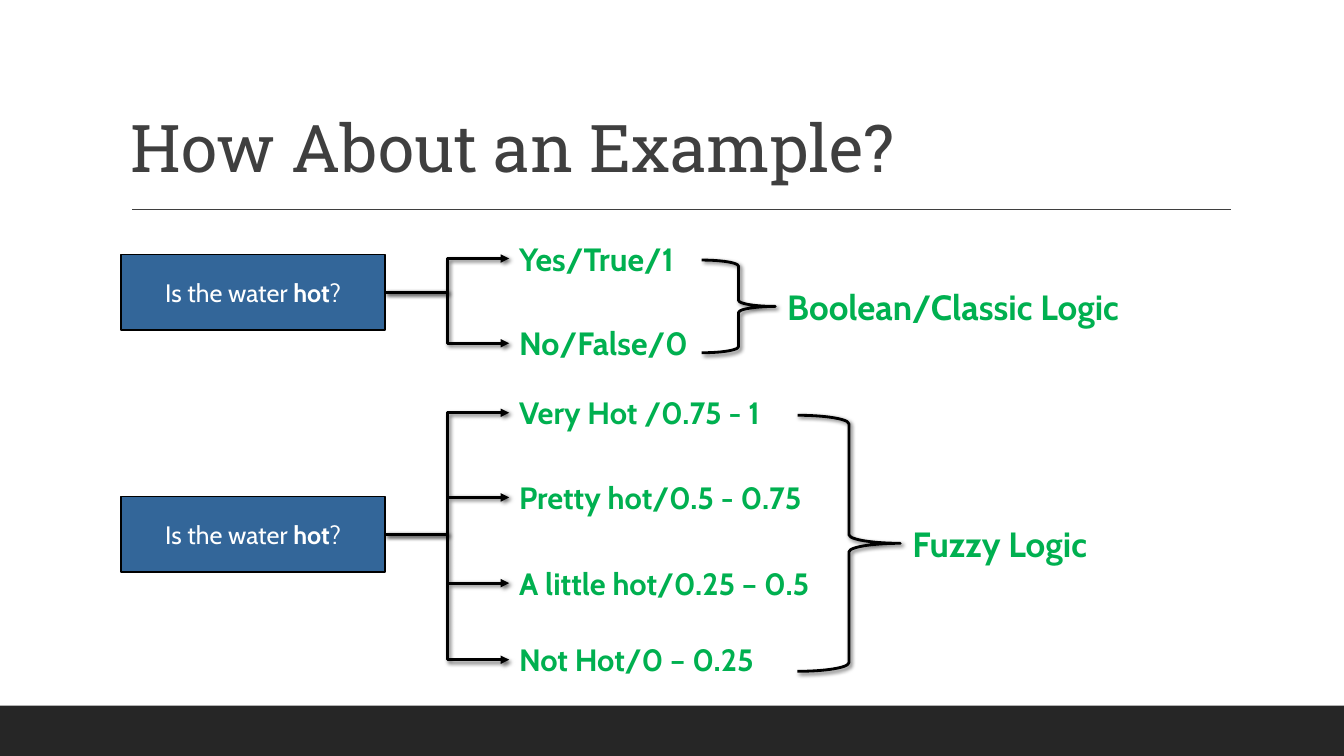
from dataclasses import dataclass

from pptx import Presentation
from pptx.dml.color import RGBColor
from pptx.enum.shapes import MSO_CONNECTOR as LINK, MSO_SHAPE as SHAPE
from pptx.enum.text import MSO_ANCHOR as ANCHOR, PP_ALIGN as ALIGN
from pptx.oxml import parse_xml
from pptx.oxml.ns import nsdecls
from pptx.util import Inches, Pt

WHITE = RGBColor(0xFF, 0xFF, 0xFF)
BLACK = RGBColor(0, 0, 0)
CHARCOAL = RGBColor(0x26, 0x26, 0x26)
GRAY = RGBColor(0x3F, 0x3F, 0x3F)
BLUE = RGBColor(0x33, 0x66, 0x99)
GREEN = RGBColor(0x00, 0xB0, 0x50)

SLIDE_W, SLIDE_H = 13.33, 7.5
QUESTION_W, QUESTION_H = 2.62, 0.75
TRUNK_X, ANSWER_X = 3.25, 3.85
CONCLUSION_H = 0.52

SHADOW = (f'<a:effectLst {nsdecls("a")}><a:outerShdw blurRad="38100" dist="25400" '
          'dir="2700000" algn="tl" rotWithShape="0"><a:srgbClr val="000000">'
          '<a:alpha val="60000"/></a:srgbClr></a:outerShdw></a:effectLst>')
NO_SHADOW = f'<a:effectLst {nsdecls("a")}/>'
ARROWHEAD = f'<a:tailEnd {nsdecls("a")} type="triangle"/>'


@dataclass
class Brace:
    """Brace box, relative to the top left corner of its tree."""
    left: float
    top: float
    width: float
    height: float


def box(left, top, width, height):
    return [Inches(value) for value in (left, top, width, height)]


def set_line(part, color, width):
    part.line.color.rgb = color
    part.line.width = Pt(width)


def add_run(paragraph, text, size, color, font="Cabin", bold=False):
    run = paragraph.add_run()
    run.text = text
    run.font.name, run.font.size, run.font.bold = font, Pt(size), bold
    run.font.color.rgb = color


def add_label(slide, place, text, size):
    frame = slide.shapes.add_textbox(*box(*place)).text_frame
    frame.word_wrap = True
    add_run(frame.paragraphs[0], text, size, GREEN, bold=True)


def add_panel(slide, place, color):
    panel = slide.shapes.add_shape(SHAPE.RECTANGLE, *box(*place))
    panel.shadow.inherit = False
    panel.fill.solid()
    panel.fill.fore_color.rgb = color
    return panel


def add_arrow(slide, kind, start, end):
    arrow = slide.shapes.add_connector(kind, *box(*start, *end))
    set_line(arrow, BLACK, 2)
    arrow.line._get_or_add_ln().append(parse_xml(ARROWHEAD))
    arrow._element.spPr.append(parse_xml(SHADOW))


def add_question(slide, left, middle):
    place = (left, middle - QUESTION_H / 2, QUESTION_W, QUESTION_H)
    question = add_panel(slide, place, BLUE)
    set_line(question, BLACK, 1)
    frame = question.text_frame
    frame.word_wrap = True
    frame.vertical_anchor = ANCHOR.MIDDLE
    paragraph = frame.paragraphs[0]
    paragraph.alignment = ALIGN.CENTER
    for text, bold in (("Is the water ", False), ("hot", True), ("?", False)):
        add_run(paragraph, text, 18, WHITE, bold=bold)


def add_brace(slide, left, top, brace):
    shape = slide.shapes.add_shape(SHAPE.RIGHT_BRACE, *box(
        left + brace.left, top + brace.top, brace.width, brace.height))
    shape.fill.background()
    set_line(shape, BLACK, 2)
    shape._element.spPr.append(parse_xml(SHADOW))


def add_answer_tree(slide, left, top, middle, answers, size, answer_h,
                    brace, conclusion, conclusion_w):
    """Question, arrows to its answers, and a brace naming their kind of logic."""
    middle += top
    add_question(slide, left, middle)
    for index, (text, offset, width) in enumerate(answers):
        answer_top = top + offset
        target = (left + ANSWER_X, answer_top + answer_h / 2)
        add_label(slide, (left + ANSWER_X, answer_top, width, answer_h), text, size)
        if index in (0, len(answers) - 1):
            add_arrow(slide, LINK.ELBOW, (left + QUESTION_W, middle), target)
        else:
            add_arrow(slide, LINK.STRAIGHT, (left + TRUNK_X, target[1]), target)
    add_brace(slide, left, top, brace)
    conclusion_left = left + brace.left + brace.width + 0.02
    conclusion_top = top + brace.top + (brace.height - CONCLUSION_H) / 2
    add_label(slide, (conclusion_left, conclusion_top, conclusion_w, CONCLUSION_H),
              conclusion, 25)


def add_heading(slide, left, top, width, height):
    rule_y = top + height + 0.18
    rule = slide.shapes.add_connector(
        LINK.STRAIGHT, *box(left + 0.11, rule_y, left + width + 0.01, rule_y))
    set_line(rule, GRAY, 1)
    rule._element.spPr.append(parse_xml(NO_SHADOW))
    frame = slide.shapes.add_textbox(*box(left, top, width, height)).text_frame
    frame.word_wrap = True
    frame.vertical_anchor = ANCHOR.BOTTOM
    title = frame.paragraphs[0]
    title.line_spacing = 0.9
    add_run(title, "How About an Example?", 47, GRAY, font="Roboto Slab")


def add_footer(slide, height):
    footer = add_panel(slide, (0, SLIDE_H - height, SLIDE_W, height), CHARCOAL)
    footer.line.fill.background()


def main():
    deck = Presentation()
    deck.slide_width, deck.slide_height = Inches(SLIDE_W), Inches(SLIDE_H)
    slide = deck.slides.add_slide(deck.slide_layouts[6])
    add_footer(slide, 0.5)
    add_heading(slide, 1.2, 0.31, 11, 1.59)
    add_answer_tree(
        slide, 1.2, 2.32, middle=0.58, size=23, answer_h=0.49,
        answers=[("Yes/True/1", 0, 1.86), ("No/False/0", 0.84, 1.92)],
        brace=Brace(5.76, 0.26, 0.73, 0.92),
        conclusion="Boolean/Classic Logic", conclusion_w=3.9)
    add_answer_tree(
        slide, 1.2, 3.86, middle=1.44, size=22, answer_h=0.47,
        answers=[("Very Hot /0.75 - 1", 0, 2.85),
                 ("Pretty hot/0.5 - 0.75", 0.84, 3.33),
                 ("A little hot/0.25 – 0.5", 1.69, 3.42),
                 ("Not Hot/0 – 0.25", 2.45, 2.77)],
        brace=Brace(6.71, 0.26, 1.02, 2.54),
        conclusion="Fuzzy Logic", conclusion_w=2.36)
    deck.save("out.pptx")


if __name__ == "__main__":
    main()
